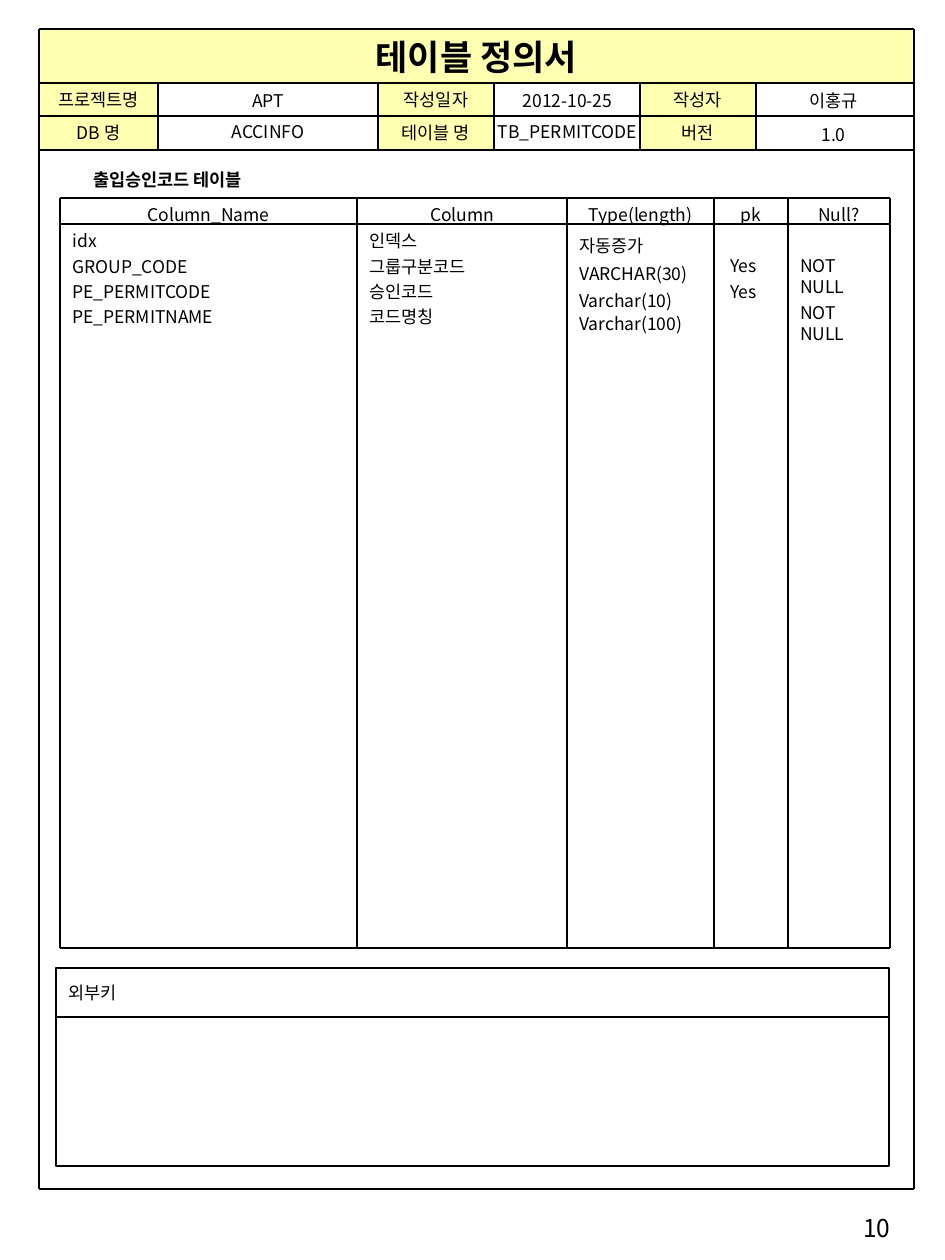
"""Builds a one-page database table definition sheet."""
from lxml.etree import SubElement
from pptx import Presentation
from pptx.dml.color import RGBColor
from pptx.enum.shapes import MSO_CONNECTOR, MSO_SHAPE
from pptx.enum.text import MSO_ANCHOR, PP_ALIGN
from pptx.oxml.ns import qn
from pptx.util import Inches, Pt

PX = 7257
FONT = "Noto Sans CJK KR"
INK = "000000"
LABEL_FILL = "FFFF66"

prs = Presentation()
prs.slide_width, prs.slide_height = Inches(7.5), Inches(10)
slide = prs.slides.add_slide(prs.slide_layouts[6])


def write(text, left, top, width, height, size=10, bold=False, align=PP_ALIGN.CENTER,
          anchor=MSO_ANCHOR.TOP, wrap=True, spacing=None, fill=None, outline=None):
    box = slide.shapes.add_shape(MSO_SHAPE.RECTANGLE, left * PX, top * PX, width * PX, height * PX) \
        if fill or outline else slide.shapes.add_textbox(left * PX, top * PX, width * PX, height * PX)
    if fill or outline:
        box.shadow.inherit = False
    if fill:
        box.fill.solid()
        box.fill.fore_color.rgb = RGBColor.from_string(fill)
        color = box.fill._xPr.find(qn("a:solidFill"))[0]
        SubElement(color, qn("a:alpha"), val="50000")
    else:
        box.fill.background()
    if outline:
        box.line.color.rgb = RGBColor.from_string(outline)
        box.line.width = Pt(1)
    else:
        box.line.fill.background()
    frame = box.text_frame
    frame.word_wrap = wrap
    if not wrap:
        frame.margin_left = frame.margin_right = 0
    frame.vertical_anchor = anchor
    for row, words in enumerate(text.split("\n") if text else []):
        paragraph = frame.paragraphs[0] if row == 0 else frame.add_paragraph()
        paragraph.alignment = align
        if row:
            paragraph.space_before = Pt(2.5)
        if spacing:
            paragraph.line_spacing = spacing
        run = paragraph.add_run()
        run.text = words
        run.font.size, run.font.bold, run.font.name = Pt(size), bold, FONT
        run.font.color.rgb = RGBColor.from_string(INK)
        SubElement(run._r.get_or_add_rPr(), qn("a:ea"), typeface=FONT)


def rule(x1, y1, x2, y2):
    line = slide.shapes.add_connector(MSO_CONNECTOR.STRAIGHT, x1 * PX, y1 * PX, x2 * PX, y2 * PX)
    line.line.color.rgb = RGBColor.from_string(INK)
    line.line.width = Pt(1)
    SubElement(line._element.spPr, qn("a:effectLst"))


page_left, page_right, page_top, page_bottom = 39, 914, 29, 1189
info_top, info_middle, info_bottom = 83, 116, 150
write("테이블 정의서", page_left, page_top, page_right - page_left, info_top - page_top,
      size=20, bold=True, fill=LABEL_FILL)
for left, right, first, second in [
    (page_left, 158, "프로젝트명", "DB 명"),
    (378, 494, "작성일자", "테이블 명"),
    (640, 756, "작성자", "버전"),
]:
    for label, top in [(first, info_top), (second, info_middle)]:
        write(label, left, top, right - left, 34, fill=LABEL_FILL)

for y in (page_top, info_top, info_middle, info_bottom, page_bottom):
    rule(page_left, y, page_right, y)
for x in (page_left, page_right):
    rule(x, page_top, x, page_bottom)
for x in (158, 378, 494, 640, 756):
    rule(x, info_top, x, info_bottom)

for value, left, top, width in [
    ("APT", 158, 84, 220),
    ("ACCINFO", 158, 116, 220),
    ("2012-10-25", 494, 84, 147),
    ("TB_PERMITCODE", 494, 116, 147),
    ("이홍규", 760, 84, 147),
    ("1.0", 760, 118, 147),
]:
    write(value, left, top, width, 32, anchor=MSO_ANCHOR.MIDDLE, wrap=False)

write("출입승인코드 테이블", 73, 164, 189, 30, bold=True, anchor=MSO_ANCHOR.MIDDLE, wrap=False)

head_top, body_top, body_bottom = 198, 224, 948
column_edges = [60, 357, 567, 714, 788, 890]
columns = [
    ("Column_Name", "idx\nGROUP_CODE\nPE_PERMITCODE\nPE_PERMITNAME", 0, 0, None),
    ("Column", "인덱스\n그룹구분코드\n승인코드\n코드명칭", 0, 0, None),
    ("Type(length)", "자동증가\nVARCHAR(30)\nVarchar(10) Varchar(100)", 0, 3, 1.1),
    ("pk", "Yes\nYes", 4, 25, None),
    ("Null?", "NOT NULL\nNOT NULL", 0, 25, None),
]
for left, right, (heading, entries, indent, drop, spacing) in zip(column_edges, column_edges[1:], columns):
    write(heading, left, head_top, right - left, body_top - head_top)
    write(entries, left + indent, body_top + drop, right - left, body_bottom - body_top - drop,
          align=PP_ALIGN.LEFT, spacing=spacing)
for y in (head_top, body_top, body_bottom):
    rule(column_edges[0], y, column_edges[-1], y)
for x in column_edges:
    rule(x, head_top, x, body_bottom)

for text, top, height in [("외부키", 968, 49), ("", 1017, 149)]:
    write(text, 56, top, 833, height, align=PP_ALIGN.LEFT, anchor=MSO_ANCHOR.MIDDLE, outline=INK)

write("10", 706, 1207, 197, 24, size=14, align=PP_ALIGN.RIGHT)

prs.save("out.pptx")
